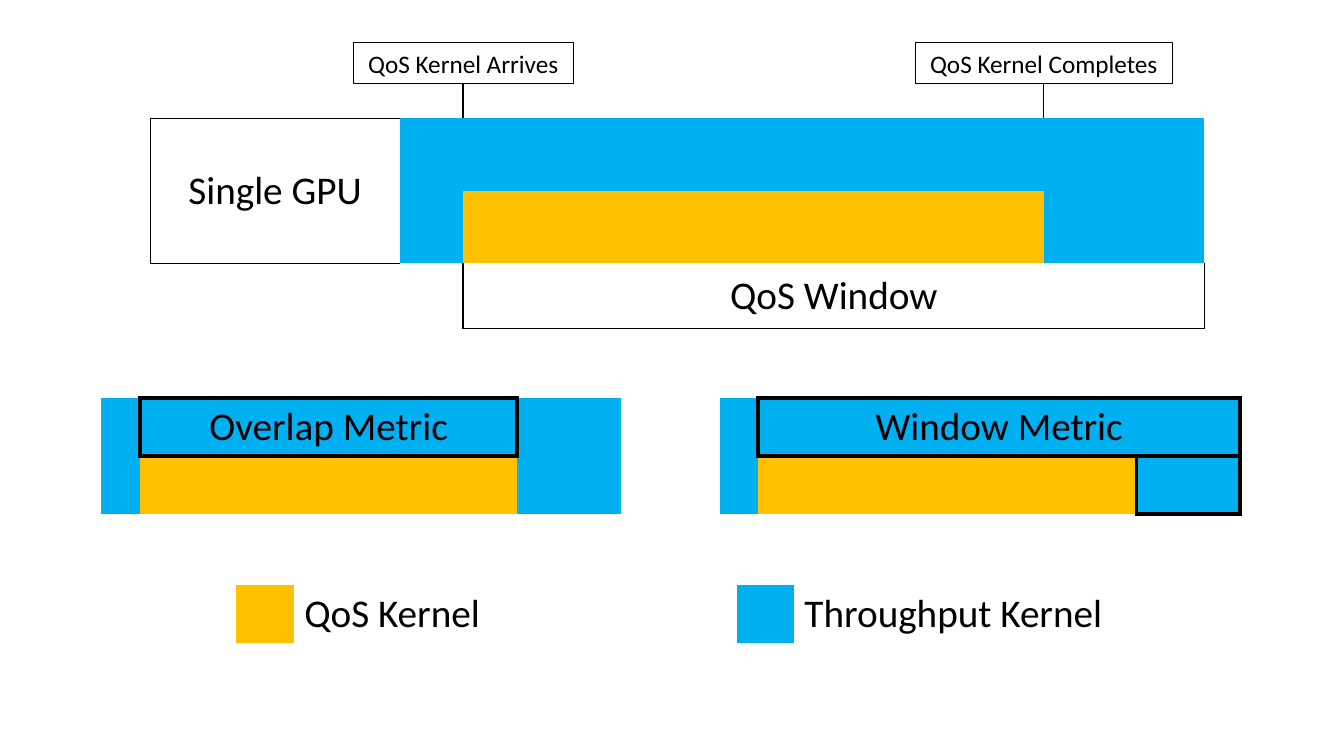
from dataclasses import dataclass

from lxml.etree import SubElement
from pptx import Presentation
from pptx.dml.color import RGBColor
from pptx.enum.shapes import MSO_SHAPE
from pptx.enum.text import MSO_ANCHOR, PP_ALIGN
from pptx.oxml.ns import qn
from pptx.util import Pt

COLORS = {"throughput": "00B0F0", "qos": "FFC000", "ink": "000000"}
FONT = "Calibri"
NO_STYLE = "{2D5ABB26-0587-4C30-8999-92F81FD0307C}"


@dataclass
class Cell:
    fill: str = ""
    borders: str = ""
    text: str = ""
    span: tuple[int, int] = (1, 1)


@dataclass
class Grid:
    left: float
    top: float
    cols: list[float]
    rows: list[float]
    cells: list[list[Cell]]
    line: float = 1
    align: PP_ALIGN = PP_ALIGN.CENTER


@dataclass
class Label:
    text: str
    left: float
    width: float


T, Q, BLANK = Cell("throughput"), Cell("qos"), Cell()

GRIDS = [
    Grid(72, 284.4, [28, 269.5, 74.2], [41.4, 41.4], [
        [Cell("throughput", "r"), Cell("throughput", "lrtb", "Overlap Metric"), Cell("throughput", "l")],
        [T, Cell("qos", "t"), T],
    ], line=3),
    Grid(514.2, 284.4, [27.2, 270.4, 74.2], [41.4, 41.4], [
        [Cell("throughput", "r"), Cell("throughput", "lrt", "Window Metric", (1, 2)),
         Cell("throughput", "rt")],
        [T, Cell("qos", "rt"), Cell("throughput", "lrb")],
    ], line=3),
    Grid(107.4, 59.8, [178, 45.4, 414.8, 114.8], [24.6, 51.8, 51.8, 46.8], [
        [Cell(borders="b"), Cell(borders="r"), Cell(borders="lr"), Cell(borders="l")],
        [Cell(borders="ltb", text="Single GPU", span=(2, 1)), T, T, T],
        [Cell(borders="lb"), T, Q, T],
        [Cell(borders="t"), Cell(borders="r"),
         Cell(borders="lrb", text="QoS Window", span=(1, 2)), Cell(borders="rb")],
    ]),
    Grid(168.6, 417.8, [41.6, 211, 105.1, 41.2, 232], [41], [
        [Q, Cell(text="QoS Kernel"), BLANK, T, Cell(text="Throughput Kernel")],
    ], align=PP_ALIGN.LEFT),
]

LABELS = [
    Label("QoS Kernel Arrives", 252.4, 157),
    Label("QoS Kernel Completes", 653.6, 184),
]


def color(name: str) -> RGBColor:
    return RGBColor.from_string(COLORS[name])


def write(tf, text: str, *, size: float = 28, align: PP_ALIGN = PP_ALIGN.CENTER) -> None:
    p = tf.paragraphs[0]
    p.alignment = align
    r = p.add_run()
    r.text = text
    r.font.name = FONT
    r.font.size = Pt(size)
    r.font.color.rgb = color("ink")


def add_border(tc, side: str, width: float) -> None:
    ln = SubElement(tc.get_or_add_tcPr(), qn(f"a:ln{side.upper()}"), w=str(Pt(width)))
    fill = SubElement(ln, qn("a:solidFill"))
    SubElement(fill, qn("a:srgbClr"), val=COLORS["ink"])


def draw_grid(s, grid: Grid) -> None:
    frame = s.shapes.add_table(len(grid.rows), len(grid.cols), Pt(grid.left), Pt(grid.top),
                               Pt(sum(grid.cols)), Pt(sum(grid.rows)))
    table = frame.table
    table.first_row = table.horz_banding = False
    table._tbl.tblPr.find(qn("a:tableStyleId")).text = NO_STYLE
    for col, width in zip(table.columns, grid.cols):
        col.width = Pt(width)
    for row, height in zip(table.rows, grid.rows):
        row.height = Pt(height)
    for i, row in enumerate(grid.cells):
        for j, item in enumerate(row):
            cell = table.cell(i, j)
            if item.span != (1, 1):
                cell.merge(table.cell(i + item.span[0] - 1, j + item.span[1] - 1))
            for side in item.borders:
                add_border(cell._tc, side, grid.line)
            if item.fill:
                cell.fill.solid()
                cell.fill.fore_color.rgb = color(item.fill)
            else:
                cell.fill.background()
            cell.vertical_anchor = MSO_ANCHOR.MIDDLE
            if item.text:
                write(cell.text_frame, item.text, align=grid.align)
            else:
                SubElement(cell.text_frame.paragraphs[0]._p, qn("a:endParaRPr"), sz="800")


def draw_label(s, label: Label) -> None:
    sp = s.shapes.add_shape(MSO_SHAPE.RECTANGLE, Pt(label.left), Pt(30.4), Pt(label.width), Pt(29.1))
    sp.shadow.inherit = False
    sp.fill.background()
    sp.line.color.rgb = color("ink")
    sp.line.width = Pt(0.75)
    tf = sp.text_frame
    tf.word_wrap = False
    tf.vertical_anchor = MSO_ANCHOR.MIDDLE
    write(tf, label.text, size=18)


def main() -> None:
    prs = Presentation()
    prs.slide_width, prs.slide_height = Pt(960), Pt(540)
    s = prs.slides.add_slide(prs.slide_layouts[6])
    for grid in GRIDS:
        draw_grid(s, grid)
    for label in LABELS:
        draw_label(s, label)
    prs.save("out.pptx")


if __name__ == "__main__":
    main()
